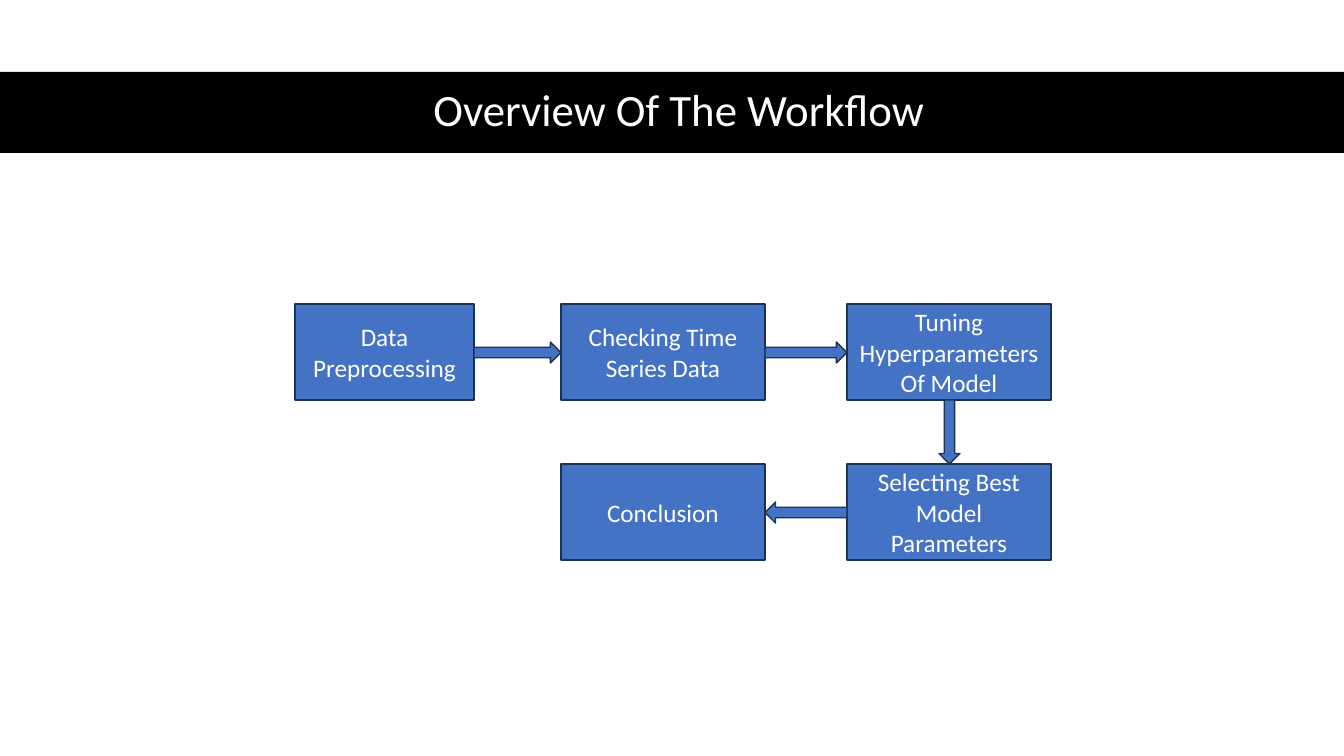
from pptx import Presentation
from pptx.dml.color import RGBColor
from pptx.enum.shapes import MSO_SHAPE as Shape
from pptx.enum.text import MSO_ANCHOR as Anchor, PP_ALIGN as Align
from pptx.util import Emu, Pt

COLORS = {"band": "000000", "step": "4472C4", "outline": "1E3256", "text": "FFFFFF"}
SLIDE_W, SLIDE_H = 1344, 756
BAND_TOP, BAND_H = 72, 81
STEP_H = 96
ARROW_THICKNESS = 21
COLUMNS = [(295, 179), (561, 204), (847, 204)]  # left, width
ROWS = [304, 464]
STEPS = [  # text, column, row, in order of the workflow
    ("Data Preprocessing", 0, 0),
    ("Checking Time Series Data", 1, 0),
    ("Tuning Hyperparameters Of Model", 2, 0),
    ("Selecting Best Model Parameters", 2, 1),
    ("Conclusion", 1, 1),
]


def px(length):
    return Emu(round(length * 914400 / 100.8))


def color(name):
    return RGBColor.from_string(COLORS[name])


class WorkflowSlide:
    font = "Calibri"

    def __init__(self, deck):
        self.shapes = deck.slides.add_slide(deck.slide_layouts[6]).shapes

    def block(self, kind, box, fill, outline=None):
        block = self.shapes.add_shape(kind, *map(px, box))
        block.shadow.inherit = False
        block.fill.solid()
        block.fill.fore_color.rgb = color(fill)
        if outline:
            block.line.color.rgb = color(outline)
            block.line.width = Pt(1)
        else:
            block.line.fill.background()
        return block

    def label(self, holder, text, size, spacing=1.0):
        frame = holder.text_frame
        frame.word_wrap = True
        frame.vertical_anchor = Anchor.MIDDLE
        frame.text = text
        paragraph = frame.paragraphs[0]
        paragraph.alignment = Align.CENTER
        paragraph.line_spacing = spacing
        font = paragraph.runs[0].font
        font.name, font.size = self.font, Pt(size)
        font.color.rgb = color("text")

    def title(self, text, box):
        self.label(self.shapes.add_textbox(*map(px, box)), text, 32, 0.9)

    def step(self, text, box):
        self.label(self.block(Shape.RECTANGLE, box, "step", "outline"), text, 18)

    def arrow(self, start, end):
        """Fill the gap between two neighbouring step boxes with a block arrow."""
        x1, y1, w1, h1 = start
        x2, y2, w2, _ = end
        if y1 != y2:
            left = x1 + w1 // 2 - ARROW_THICKNESS // 2
            box = (left, y1 + h1, ARROW_THICKNESS, y2 - y1 - h1)
            self.block(Shape.DOWN_ARROW, box, "step", "outline")
            return
        left, right = (x1 + w1, x2) if x1 < x2 else (x2 + w2, x1)
        top = y1 + h1 // 2 - ARROW_THICKNESS // 2
        box = (left, top, right - left, ARROW_THICKNESS)
        arrow = self.block(Shape.RIGHT_ARROW, box, "step", "outline")
        arrow.rotation = 0 if x1 < x2 else 180


def main():
    deck = Presentation()
    deck.slide_width, deck.slide_height = px(SLIDE_W), px(SLIDE_H)
    slide = WorkflowSlide(deck)

    slide.block(Shape.RECTANGLE, (0, BAND_TOP, SLIDE_W, BAND_H), "band")
    slide.title("Overview Of The Workflow", (61, BAND_TOP - 1, 1236, BAND_H))

    boxes = []
    for text, column, row in STEPS:
        left, width = COLUMNS[column]
        boxes.append((left, ROWS[row], width, STEP_H))
        slide.step(text, boxes[-1])
    for start, end in zip(boxes, boxes[1:]):
        slide.arrow(start, end)

    deck.save("out.pptx")


if __name__ == "__main__":
    main()
